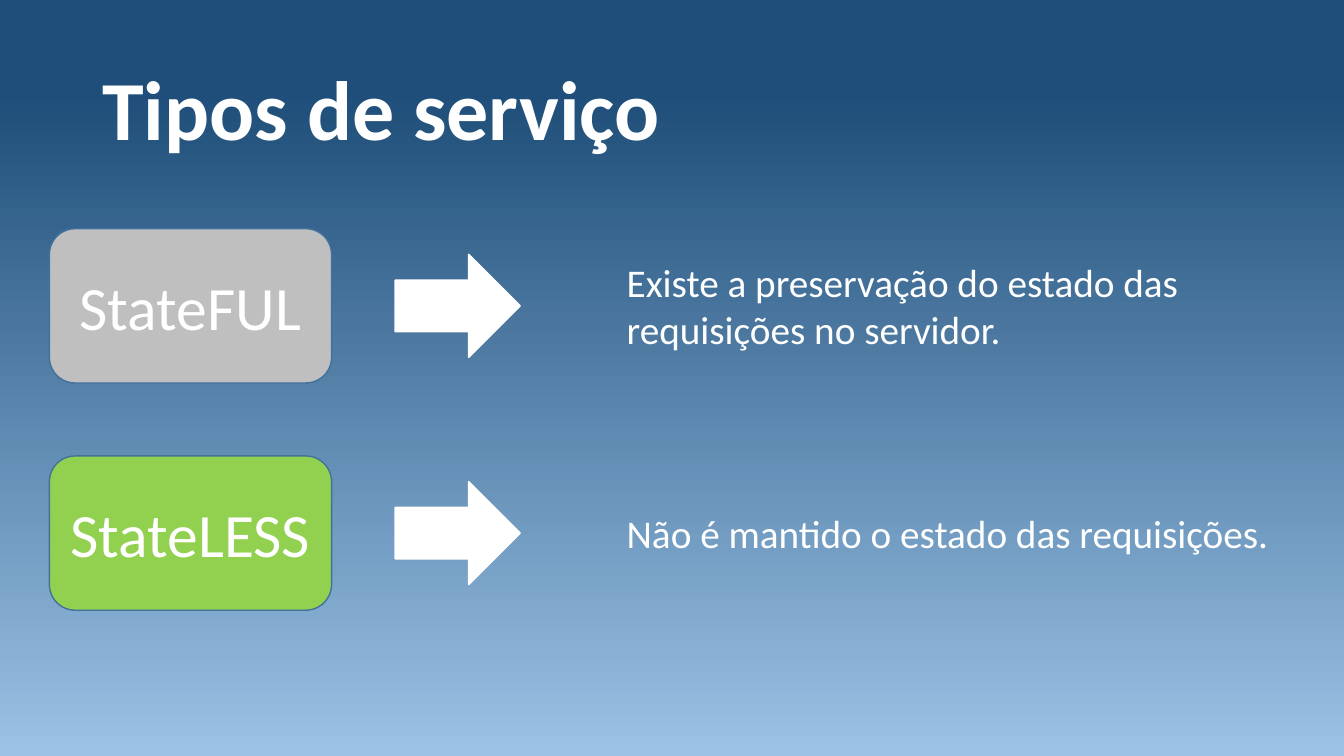
from copy import deepcopy

from pptx import Presentation
from pptx.dml.color import RGBColor
from pptx.enum.shapes import MSO_SHAPE
from pptx.enum.text import MSO_ANCHOR, MSO_AUTO_SIZE, PP_ALIGN
from pptx.oxml.ns import qn
from pptx.util import Pt

WHITE = RGBColor(0xFF, 0xFF, 0xFF)
GREY = RGBColor(0xBF, 0xBF, 0xBF)
GREEN = RGBColor(0x92, 0xD0, 0x50)
OUTLINE = RGBColor(0x42, 0x71, 0x9B)
DARK_BLUE = RGBColor(0x1E, 0x4E, 0x79)
LIGHT_BLUE = RGBColor(0x9C, 0xC2, 0xE5)

FONT = "Calibri"
ROW_LEFT, FIRST_ROW_TOP = 35.3, 163.4
ROW_HEIGHT, ROW_PITCH = 110.2, 162.3

# label, label colour, description, description width and height
SERVICES = [
    ("StateFUL", GREY,
     "Existe a preservação do estado das requisições no servidor.", 470.9, 75),
    ("StateLESS", GREEN,
     "Não é mantido o estado das requisições.", 488.2, 41),
]


def paint_background(slide):
    """Vertical gradient that stays dark over the top 12 %."""
    fill = slide.background.fill
    fill.gradient()
    fill.gradient_angle = 270
    first_stop = slide.element.find(".//" + qn("a:gs"))
    first_stop.addnext(deepcopy(first_stop))
    stops = [(0, DARK_BLUE), (0.12, DARK_BLUE), (1, LIGHT_BLUE)]
    for stop, (position, color) in zip(fill.gradient_stops, stops):
        stop.position = position
        stop.color.rgb = color


def write(frame, text, size, bold=False):
    frame.text = text
    frame.word_wrap = True
    font = frame.paragraphs[0].runs[0].font
    font.name, font.size, font.bold = FONT, Pt(size), bold
    font.color.rgb = WHITE


def add_title(slide, left, top, width, height):
    title = slide.shapes.add_textbox(Pt(left), Pt(top), Pt(width), Pt(height))
    write(title.text_frame, "Tipos de serviço", 60, bold=True)
    title.text_frame.vertical_anchor = MSO_ANCHOR.MIDDLE
    title.text_frame.paragraphs[0].line_spacing = 0.9


def add_block(slide, preset, left, top, width, height, fill, line):
    block = slide.shapes.add_shape(
        preset, Pt(left), Pt(top), Pt(width), Pt(height))
    block.shadow.inherit = False
    block.fill.solid()
    block.fill.fore_color.rgb = fill
    block.line.color.rgb = line
    block.line.width = Pt(1)
    return block


def add_service(slide, left, top, height, service):
    """One row: label, arrow and description, centred on the same height."""
    name, color, explanation, text_width, text_height = service
    middle = top + height / 2

    label = add_block(slide, MSO_SHAPE.ROUNDED_RECTANGLE,
                      left, top, 201.6, height, color, OUTLINE)
    write(label.text_frame, name, 44)
    label.text_frame.vertical_anchor = MSO_ANCHOR.MIDDLE
    label.text_frame.paragraphs[0].alignment = PP_ALIGN.CENTER

    arrow_height = 73.6
    add_block(slide, MSO_SHAPE.RIGHT_ARROW, left + 247,
              middle - arrow_height / 2, 89.3, arrow_height, WHITE, WHITE)

    description = slide.shapes.add_textbox(
        Pt(left + 405.3), Pt(middle - text_height / 2),
        Pt(text_width), Pt(text_height))
    write(description.text_frame, explanation, 28)
    description.text_frame.auto_size = MSO_AUTO_SIZE.SHAPE_TO_FIT_TEXT


def main():
    deck = Presentation()
    deck.slide_width, deck.slide_height = Pt(960), Pt(540)
    slide = deck.slides.add_slide(deck.slide_layouts[6])
    paint_background(slide)
    add_title(slide, 66, 28.8, 828, 104.4)
    for row, service in enumerate(SERVICES):
        add_service(slide, ROW_LEFT, FIRST_ROW_TOP + row * ROW_PITCH,
                    ROW_HEIGHT, service)
    deck.save("out.pptx")


if __name__ == "__main__":
    main()
